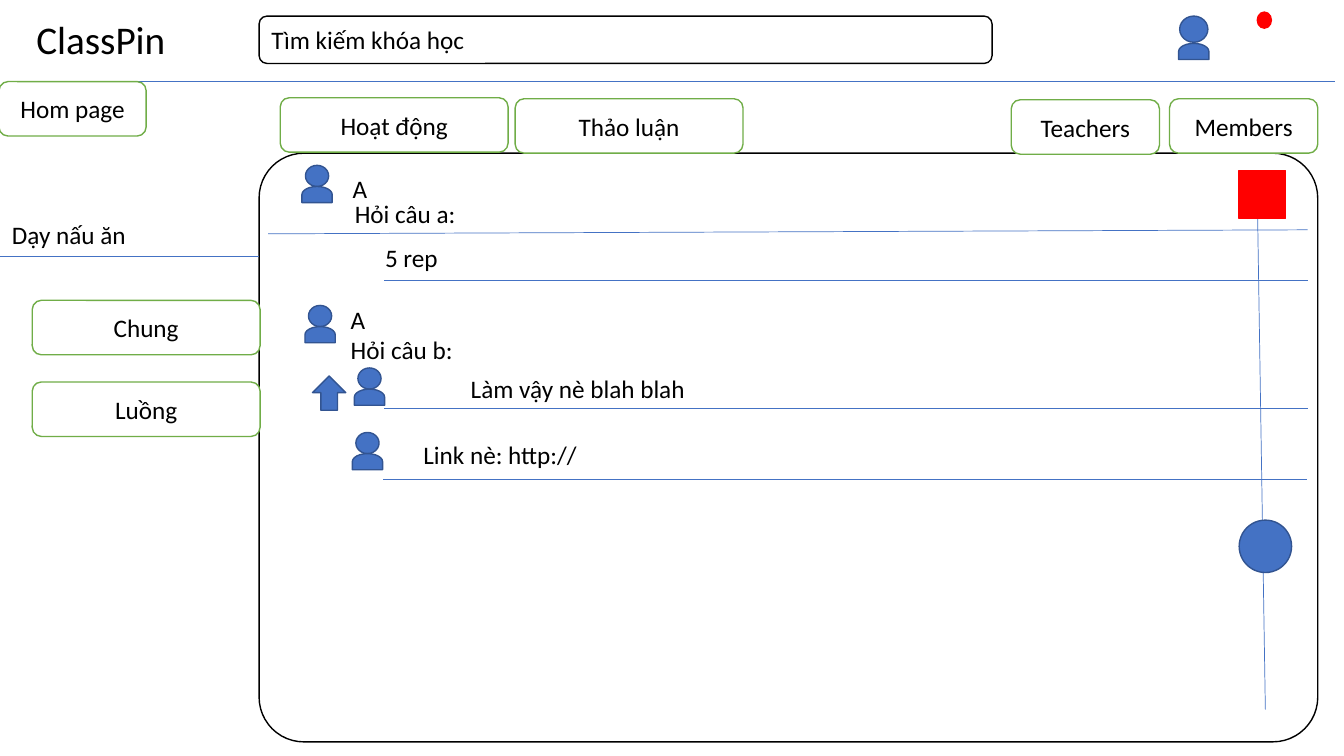
from pptx import Presentation
from pptx.dml.color import RGBColor
from pptx.enum.shapes import MSO_CONNECTOR, MSO_SHAPE
from pptx.enum.text import MSO_ANCHOR, MSO_AUTO_SIZE, PP_ALIGN
from pptx.oxml.ns import qn
from pptx.util import Inches, Pt
from lxml import etree

ROUND = MSO_SHAPE.ROUNDED_RECTANGLE
OVAL = MSO_SHAPE.OVAL
DELAY = MSO_SHAPE.FLOWCHART_DELAY
LEFT, CENTER = PP_ALIGN.LEFT, PP_ALIGN.CENTER
WHITE = RGBColor(0xFF, 0xFF, 0xFF)
BLACK = RGBColor(0, 0, 0)
BLUE = RGBColor(0x44, 0x72, 0xC4)
NAVY = RGBColor(0x32, 0x54, 0x91)
GREEN = RGBColor(0x70, 0xAD, 0x47)
RED = RGBColor(0xFF, 0, 0)

prs = Presentation()
prs.slide_width, prs.slide_height = Inches(13.33), Inches(7.5)
slide = prs.slides.add_slide(prs.slide_layouts[5])
shapes = slide.shapes


def add_box(kind, x, y, w, h, fill, edge):
    box = shapes.add_shape(kind, Inches(x), Inches(y), Inches(w), Inches(h))
    box.shadow.inherit = False
    box.fill.solid()
    box.fill.fore_color.rgb = fill
    box.line.color.rgb = edge
    box.line.width = Pt(1)
    return box


def write(box, text, size=18, align=LEFT, anchor=MSO_ANCHOR.MIDDLE):
    frame = box.text_frame
    frame.text = text
    frame.word_wrap = True
    frame.auto_size = MSO_AUTO_SIZE.NONE
    frame.vertical_anchor = anchor
    para = frame.paragraphs[0]
    para.alignment = align
    font = para.runs[0].font
    font.name, font.size, font.color.rgb = "Calibri", Pt(size), BLACK


# App name and search field
title = shapes.title
title.left, title.top = Inches(0.26), Inches(0.1)
title.width, title.height = Inches(1.53), Inches(0.57)
write(title, "ClassPin", 28, anchor=MSO_ANCHOR.TOP)
search = add_box(ROUND, 2.57, 0.16, 7.27, 0.47, WHITE, BLACK)
write(search, "Tìm kiếm khóa học")

# Main panel
panel = add_box(ROUND, 2.57, 1.52, 10.5, 5.84, WHITE, BLACK)
panel.adjustments[0] = 0.076

# Rules: header, course, posts, replies and scroll track
for x1, y1, x2, y2 in [
    (0.09, 0.81, 13.24, 0.81),
    (0, 2.54, 2.57, 2.54),
    (2.66, 2.32, 12.97, 2.28),
    (3.81, 2.78, 12.97, 2.78),
    (3.81, 4.05, 12.97, 4.05),
    (3.8, 4.76, 12.96, 4.76),
    (12.47, 1.92, 12.55, 7.04),
]:
    rule = shapes.add_connector(MSO_CONNECTOR.STRAIGHT, Inches(x1), Inches(y1),
                                Inches(x2), Inches(y2))
    rule.line.color.rgb = BLUE
    rule.line.width = Pt(0.5)
    etree.SubElement(rule.element.spPr, qn("a:effectLst"))

# Tabs and menu buttons
for text, x, y, w in [
    ("Hom page", -0.01, 0.81, 1.46),
    ("Hoạt động", 2.78, 0.97, 2.26),
    ("Thảo luận", 5.11, 0.98, 2.26),
    ("Members", 11.6, 0.98, 1.47),
    ("Teachers", 10.03, 0.99, 1.47),
    ("Luồng", 0.32, 3.79, 2.26),
    ("Chung", 0.32, 2.98, 2.26),
]:
    button = add_box(ROUND, x, y, w, 0.54, WHITE, GREEN)
    write(button, text, align=CENTER)

# Course name, posts and replies
for text, x, y, w in [
    ("Dạy nấu ăn", 0.02, 2.13, 1.35),
    ("A", 3.4, 1.67, 2.31),
    ("Hỏi câu a:", 3.42, 1.92, 2.31),
    ("5 rep", 3.72, 2.36, 2.31),
    ("A", 3.38, 2.97, 2.31),
    ("Hỏi câu b:", 3.38, 3.27, 2.31),
    ("Làm vậy nè blah blah", 4.57, 3.65, 3.65),
    ("Link nè: http://", 4.1, 4.31, 2.31),
]:
    label = shapes.add_textbox(Inches(x), Inches(y), Inches(w), Inches(0.4))
    write(label, text, anchor=MSO_ANCHOR.TOP)

# User icons: a head above a half-round body
for x, y, w, h, drop in [
    (11.7, 0.16, 0.28, 0.26, 0.2),
    (3.03, 1.64, 0.23, 0.21, 0.14),
    (3.06, 3.03, 0.23, 0.21, 0.14),
    (3.55, 3.65, 0.23, 0.21, 0.14),
    (3.53, 4.29, 0.23, 0.21, 0.14),
]:
    add_box(OVAL, x, y, w, h, BLUE, NAVY)
    body = add_box(DELAY, x + w / 2 - 0.08, y + drop, 0.16, 0.3, BLUE, NAVY)
    body.rotation = 270

# Alert dot, vote arrow and scroll marks
add_box(OVAL, 12.47, 0.12, 0.14, 0.16, RED, RED)
add_box(MSO_SHAPE.UP_ARROW, 3.1, 3.73, 0.33, 0.34, BLUE, NAVY)
add_box(OVAL, 12.29, 5.16, 0.52, 0.52, BLUE, NAVY)
add_box(MSO_SHAPE.RECTANGLE, 12.29, 1.69, 0.46, 0.48, RED, RED)

prs.save("out.pptx")
